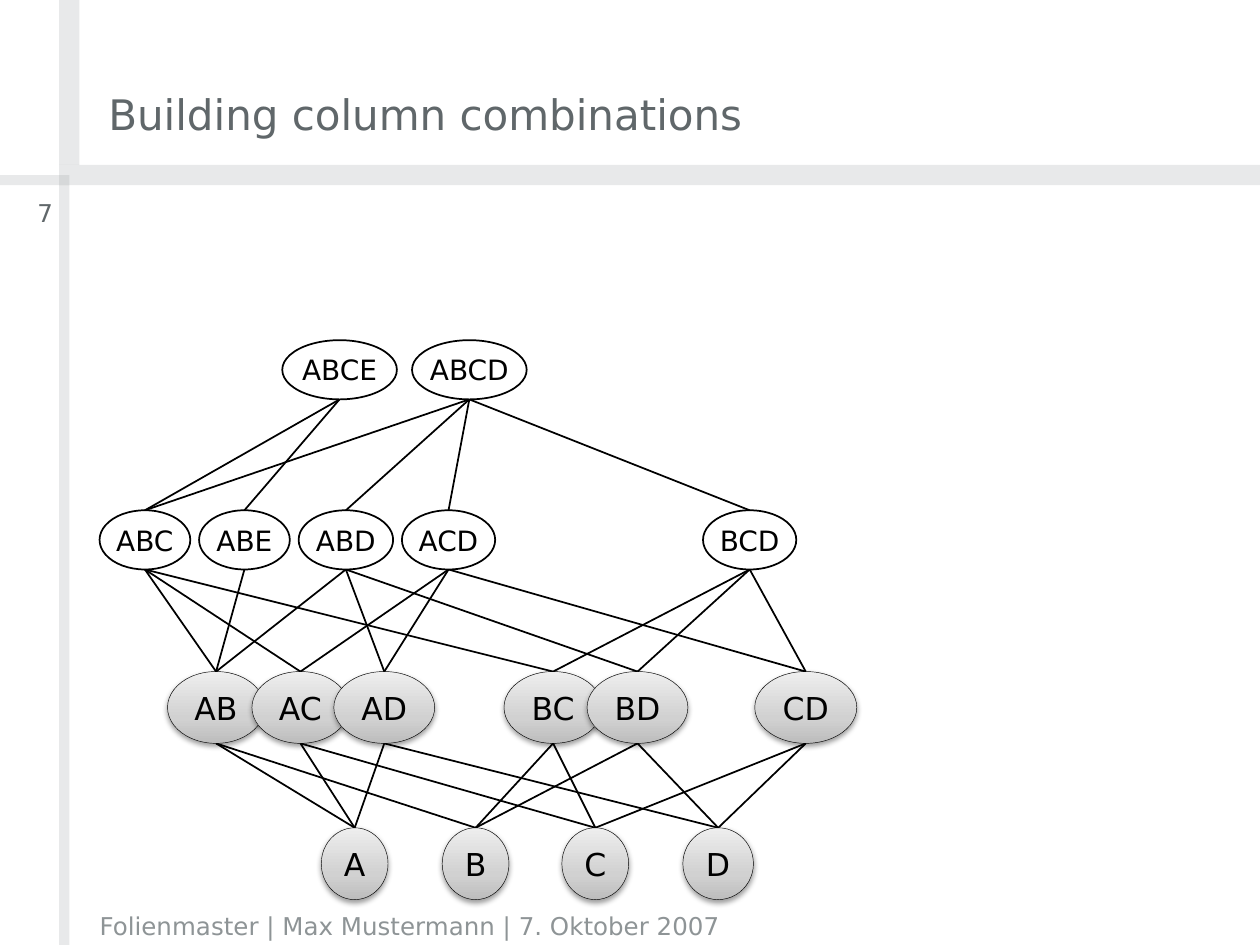
from lxml.etree import SubElement
from pptx import Presentation
from pptx.dml.color import RGBColor
from pptx.enum.shapes import MSO_CONNECTOR, MSO_SHAPE
from pptx.enum.text import MSO_ANCHOR, MSO_AUTO_SIZE, PP_ALIGN
from pptx.oxml.ns import qn
from pptx.util import Inches, Pt

FONT = "DejaVu Sans"
BLACK = RGBColor(0x00, 0x00, 0x00)
WHITE = RGBColor(0xFF, 0xFF, 0xFF)
SLATE = RGBColor(0x60, 0x67, 0x6A)
GREY = RGBColor(0x8E, 0x94, 0x96)
STOPS = [(0, "BDBDBD"), (35, "D1D1D1"), (100, "EEEEEE")]

# Content
TITLE = "Building column combinations"
FOOTER = "Folienmaster | Max Mustermann | 7. Oktober 2007"
NUMBER = "7"

# Frame bars: left, top, width, height
BARS = [
    (0.47, 0, 0.16, 1.31),
    (0.47, 1.31, 9.53, 0.16),
    (0.47, 1.47, 0.08, 6.03),
    (0, 1.39, 0.55, 0.08),
]

# Lattice levels, top down; nodes are (columns, left, width)
LEVELS = [
    dict(top=2.7, high=0.47, size=16, shaded=False, nodes=[
        ("ABCE", 2.24, 0.91), ("ABCD", 3.27, 0.91)]),
    dict(top=4.05, high=0.47, size=16, shaded=False, nodes=[
        ("ABC", 0.79, 0.72), ("ABE", 1.58, 0.72), ("ABD", 2.37, 0.75),
        ("ACD", 3.19, 0.74), ("BCD", 5.58, 0.74)]),
    dict(top=5.33, high=0.57, size=18, shaded=True, nodes=[
        ("AB", 1.33, 0.77), ("AC", 2, 0.77), ("AD", 2.65, 0.8),
        ("BC", 4, 0.78), ("BD", 4.66, 0.8), ("CD", 5.99, 0.81)]),
    dict(top=6.57, high=0.57, size=18, shaded=True, nodes=[
        ("A", 2.55, 0.53), ("B", 3.51, 0.53),
        ("C", 4.46, 0.53), ("D", 5.42, 0.56)]),
]


def write(shape, text, size, color, align=PP_ALIGN.LEFT):
    para = shape.text_frame.paragraphs[0]
    para.text = text
    para.alignment = align
    para.font.name, para.font.size = FONT, Pt(size)
    para.font.color.rgb = color


def trim(frame, anchor):
    frame.margin_left = frame.margin_right = 0
    frame.margin_top = frame.margin_bottom = 0
    frame.vertical_anchor = anchor
    frame.word_wrap = True


def label(slide, box, text, color, anchor, align):
    shape = slide.shapes.add_textbox(*map(Inches, box))
    trim(shape.text_frame, anchor)
    write(shape, text, 14, color, align)


def add_bar(slide, box):
    bar = slide.shapes.add_shape(MSO_SHAPE.RECTANGLE, *map(Inches, box))
    bar.shadow.inherit = False
    bar.fill.solid()
    bar.fill.fore_color.rgb = GREY
    bar.line.fill.background()
    tint = bar.fill._xPr.find(".//" + qn("a:srgbClr"))
    SubElement(tint, qn("a:alpha"), val="20000")


def add_edge(slide, x1, y1, x2, y2):
    edge = slide.shapes.add_connector(
        MSO_CONNECTOR.STRAIGHT, *map(Inches, (x1, y1, x2, y2)))
    edge.line.color.rgb = BLACK
    edge.line.width = Pt(1)
    SubElement(edge._element.spPr, qn("a:effectLst"))


def shade(node):
    """Grey gradient, dark at the bottom, and a soft drop shadow."""
    node.fill.gradient()
    node.fill.gradient_angle = 90
    props = node._element.spPr
    stops = props.find(".//" + qn("a:gsLst"))
    stops.clear()
    for pos, color in STOPS:
        stop = SubElement(stops, qn("a:gs"), pos=str(pos * 1000))
        SubElement(stop, qn("a:srgbClr"), val=color)
    drop = SubElement(
        props.find(qn("a:effectLst")), qn("a:outerShdw"), blurRad="40000",
        dist="20000", dir="5400000", rotWithShape="0")
    tint = SubElement(drop, qn("a:srgbClr"), val="000000")
    SubElement(tint, qn("a:alpha"), val="38000")


def add_node(slide, level, name, left, width):
    node = slide.shapes.add_shape(
        MSO_SHAPE.OVAL,
        *map(Inches, (left, level["top"], width, level["high"])))
    node.shadow.inherit = False
    node.line.color.rgb = BLACK
    frame = node.text_frame
    frame.word_wrap = False
    frame.vertical_anchor = MSO_ANCHOR.MIDDLE
    if level["shaded"]:
        node.line.width = Pt(0.25)
        frame.auto_size = MSO_AUTO_SIZE.SHAPE_TO_FIT_TEXT
        shade(node)
    else:
        node.line.width = Pt(1)
        node.fill.solid()
        node.fill.fore_color.rgb = WHITE
    write(node, name, level["size"], BLACK, PP_ALIGN.CENTER)


def main():
    deck = Presentation()
    deck.slide_width, deck.slide_height = Inches(10), Inches(7.5)
    slide = deck.slides.add_slide(deck.slide_layouts[5])

    # Frame, title, footer and page number
    for box in BARS:
        add_bar(slide, box)
    title = slide.shapes.title
    title.left, title.top = Inches(0.86), Inches(0)
    title.width, title.height = Inches(6.83), Inches(1.1)
    trim(title.text_frame, MSO_ANCHOR.BOTTOM)
    write(title, TITLE, 24, SLATE)
    label(slide, (0.79, 7.18, 8.94, 0.28), FOOTER, GREY,
          MSO_ANCHOR.BOTTOM, PP_ALIGN.LEFT)
    label(slide, (-0.18, 1.57, 0.6, 0.36), NUMBER, SLATE,
          MSO_ANCHOR.TOP, PP_ALIGN.RIGHT)

    # Edges: each set joins its subsets one level down
    for upper, lower in zip(LEVELS, LEVELS[1:]):
        foot = upper["top"] + upper["high"]
        for big, x1, w1 in upper["nodes"]:
            for small, x2, w2 in lower["nodes"]:
                if set(small) <= set(big):
                    add_edge(slide, x1 + w1 / 2, foot,
                             x2 + w2 / 2, lower["top"])

    # Nodes, over the edges
    for level in LEVELS:
        for node in level["nodes"]:
            add_node(slide, level, *node)

    deck.save("out.pptx")


if __name__ == "__main__":
    main()
